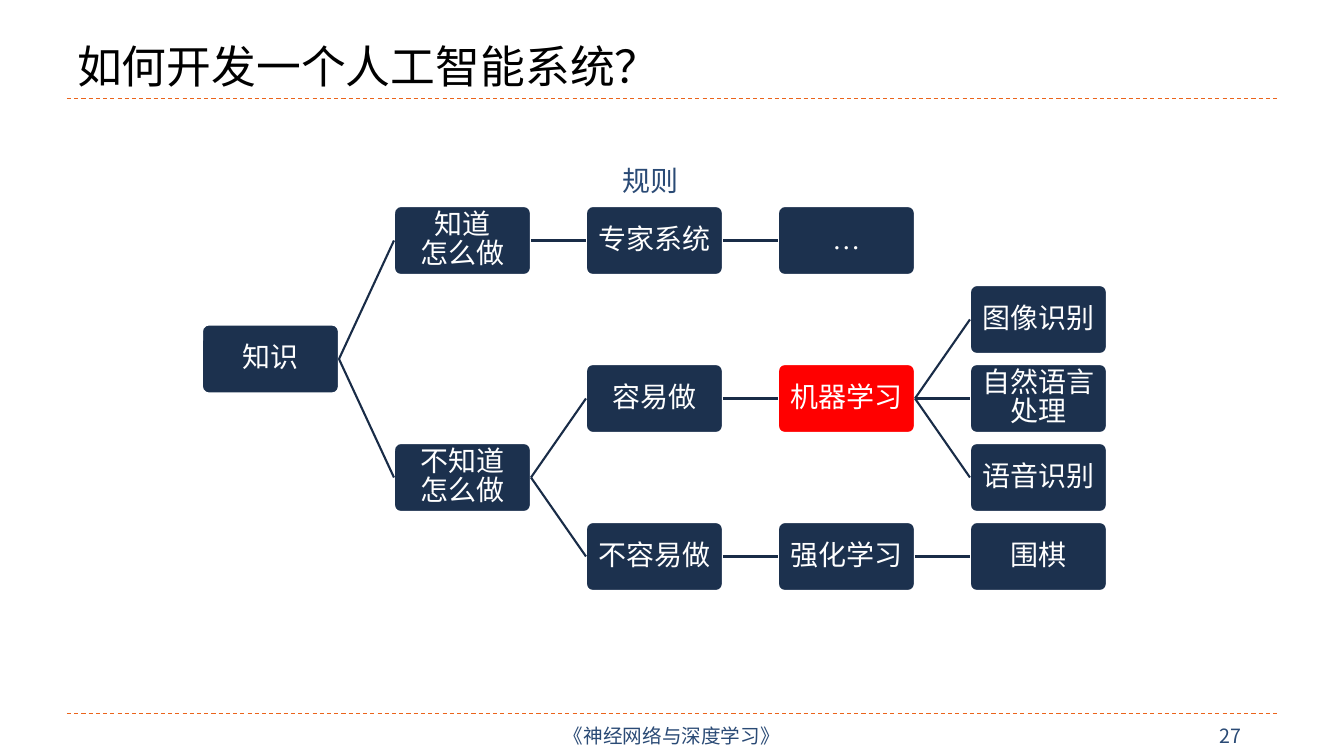
import pptx
import pptx.util
import pptx.dml.color
import pptx.enum.dml
import pptx.enum.shapes
import pptx.enum.text
import lxml.etree

EMU_PER_PX = 914400 / 100.8
COLORS = {"navy": "1C314E", "red": "FF0000", "branch": "192C47", "rule": "EB641B",
          "label": "2A4A75", "white": "FFFFFF", "black": "000000"}
ALIGN = pptx.enum.text.PP_ALIGN
ANCHOR = pptx.enum.text.MSO_ANCHOR


def px(*lengths):
    return [pptx.util.Emu(round(length * EMU_PER_PX)) for length in lengths]


def write(shape, text, size, font, color, align, anchor, inset=None, wrap=True):
    frame = shape.text_frame
    frame.text = text
    frame.word_wrap = wrap
    frame.auto_size = pptx.enum.text.MSO_AUTO_SIZE.NONE
    frame.vertical_anchor = anchor
    if inset is not None:
        frame.margin_left = frame.margin_right = frame.margin_top = frame.margin_bottom = px(inset)[0]
    for paragraph in frame.paragraphs:
        paragraph.alignment = align
        paragraph.font.size = pptx.util.Pt(size)
        paragraph.font.name = font
        paragraph.font.color.rgb = pptx.dml.color.RGBColor.from_string(COLORS[color])


deck = pptx.Presentation()
deck.slide_width, deck.slide_height = px(1344, 756)
slide = deck.slides.add_slide(deck.slide_layouts[5])
shapes = slide.shapes

# Title
title = shapes.title
title.left, title.top, title.width, title.height = px(67, 17, 1210, 81)
write(title, "如何开发一个人工智能系统？", 32, "Roboto", "black", ALIGN.LEFT, ANCHOR.BOTTOM)

# Knowledge tree: name -> (text, column, row, parent)
TREE = {
    "knowledge": ("知识", 0, 1.5, None),
    "known": ("知道\n怎么做", 1, 0, "knowledge"),
    "expert": ("专家系统", 2, 0, "known"),
    "more": ("…", 3, 0, "expert"),
    "unknown": ("不知道\n怎么做", 1, 3, "knowledge"),
    "easy": ("容易做", 2, 2, "unknown"),
    "learning": ("机器学习", 3, 2, "easy"),
    "vision": ("图像识别", 4, 1, "learning"),
    "language": ("自然语言处理", 4, 2, "learning"),
    "speech": ("语音识别", 4, 3, "learning"),
    "hard": ("不容易做", 2, 4, "unknown"),
    "reinforcement": ("强化学习", 3, 4, "hard"),
    "go": ("围棋", 4, 4, "reinforcement"),
}
nodes = {}
lines = []
for name, (text, column, row, parent) in TREE.items():
    node = shapes.add_shape(pptx.enum.shapes.MSO_SHAPE.ROUNDED_RECTANGLE,
                            *px(202 + 192 * column, 206 + 79 * row, 137, 69))
    node.adjustments[0] = 0.1
    node.shadow.inherit = False
    node.fill.solid()
    fill = "red" if name == "learning" else "navy"
    node.fill.fore_color.rgb = pptx.dml.color.RGBColor.from_string(COLORS[fill])
    node.line.color.rgb = pptx.dml.color.RGBColor.from_string(COLORS["white"])
    node.line.width = pptx.util.Pt(1.5)
    write(node, text, 20, "Times New Roman", "white", ALIGN.CENTER, ANCHOR.MIDDLE, inset=3)
    for paragraph in node.text_frame.paragraphs:
        paragraph.line_spacing = 0.85
    nodes[name] = node
    if parent:
        branch = shapes.add_connector(pptx.enum.shapes.MSO_CONNECTOR.STRAIGHT, 0, 0, 0, 0)
        branch.begin_connect(nodes[parent], 3)
        branch.end_connect(node, 1)
        lines.append((branch, "branch", 1.5))

# Rules under the title and above the footer
for y in (99, 714):
    rule = shapes.add_connector(pptx.enum.shapes.MSO_CONNECTOR.STRAIGHT, *px(67, y, 1277, y))
    rule.line.dash_style = pptx.enum.dml.MSO_LINE.DASH
    lines.append((rule, "rule", 0.75))

for line, color, width in lines:
    line.line.color.rgb = pptx.dml.color.RGBColor.from_string(COLORS[color])
    line.line.width = pptx.util.Pt(width)
    lxml.etree.SubElement(line._element.spPr, pptx.oxml.ns.qn("a:effectLst"))

# Label over the expert system
rules_label = shapes.add_textbox(*px(613, 159, 77, 44))
write(rules_label, "规则", 20, "Arial", "label", ALIGN.LEFT, ANCHOR.TOP, wrap=False)

# Footer and page number
footer = shapes.add_textbox(*px(454, 716, 436, 40))
write(footer, "《神经网络与深度学习》", 14, "Noto Sans CJK SC", "label", ALIGN.CENTER, ANCHOR.MIDDLE, inset=0)
page_number = shapes.add_textbox(*px(1210, 719, 41, 34))
write(page_number, "27", 14, "Noto Sans CJK SC", "label", ALIGN.LEFT, ANCHOR.MIDDLE, wrap=False)

deck.save("out.pptx")
